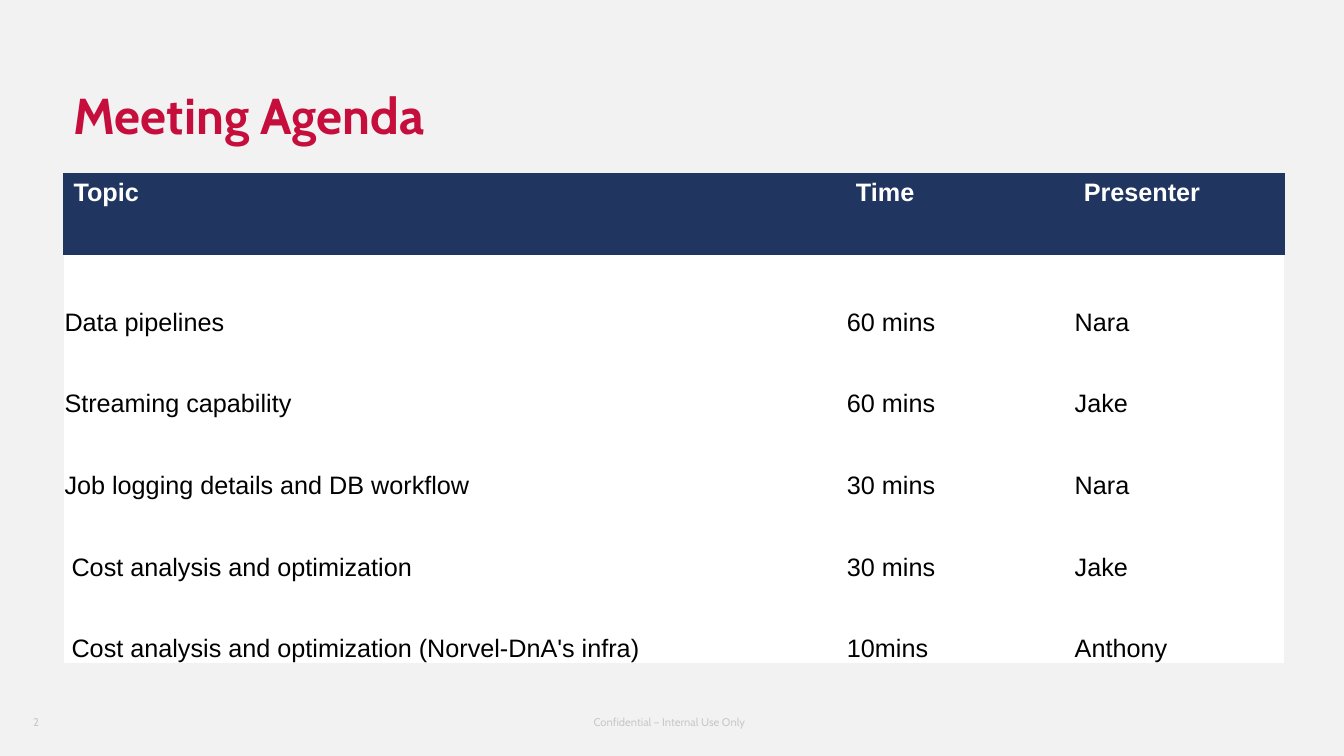
from lxml import etree
from pptx import Presentation
from pptx.dml.color import RGBColor
from pptx.enum import text as t
from pptx.oxml import ns
from pptx.util import Inches, Pt

# Content
TITLE = "Meeting Agenda"
HEAD = ("Topic", "Time", "Presenter")
AGENDA = [
    ("Data pipelines", "60 mins", "Nara"),
    ("Streaming capability", "60 mins", "Jake"),
    ("Job logging details and DB workflow", "30 mins", "Nara"),
    ("Cost analysis and optimization", "30 mins", "Jake"),
    ("Cost analysis and optimization (Norvel-DnA's infra)", "10mins", "Anthony"),
]
INDENTED = (4, 5)  # table rows whose topic is set in a little
FOOTER = [  # words, left edge, alignment
    ("Confidential –\u00a0Internal Use Only", 5.14, t.PP_ALIGN.CENTER),
    ("2", 0.23, t.PP_ALIGN.LEFT),
]

# Theme
THEME = {
    "back": "F2F2F2", "navy": "203661", "white": "FFFFFF",
    "title": dict(name="Cabin", size=36, bold=True, color="C50E3C"),
    "head": dict(name="Arial", size=18, bold=True, color="FFFFFF"),
    "body": dict(name="Arial", size=18, bold=False, color="000000"),
    "foot": dict(name="Cabin", size=8, bold=False, color="C6CAC6"),
}
PAD = dict(margin_left=0.1, margin_top=0.05, margin_right=0.1, margin_bottom=0.05)
TIGHT = dict(margin_left=0.01, margin_top=0.01, margin_right=0.01, margin_bottom=0)
NO_GRID = "{2D5ABB26-0587-4C30-8999-92F81FD0307C}"
COLS = (7.76, 2.26, 2.09)
ROW = 0.81


def style(font, look):
    for key, val in look.items():
        if key == "color":
            font.color.rgb = RGBColor.from_string(val)
        else:
            setattr(font, key, Pt(val) if key == "size" else val)


def write(frame, words, look, align=t.PP_ALIGN.LEFT):
    para = frame.paragraphs[0]
    para.alignment = align
    run = para.add_run()
    run.text = words
    style(run.font, look)
    return para


def pad(item, sides):
    for key, val in sides.items():
        setattr(item, key, Inches(val))


def edge(cell, sides, color):
    props = cell._tc.get_or_add_tcPr()
    for spot, side in enumerate(sides):
        line = etree.Element(ns.qn(f"a:ln{side}"), w=str(Pt(0.75)))
        fill = etree.SubElement(line, ns.qn("a:solidFill"))
        etree.SubElement(fill, ns.qn("a:srgbClr"), val=color)
        props.insert(spot, line)


def main():
    prs = Presentation()
    prs.slide_width, prs.slide_height = Inches(13.33), Inches(7.5)
    slide = prs.slides.add_slide(prs.slide_layouts[5])
    fill = slide.background.fill
    fill.solid()
    fill.fore_color.rgb = RGBColor.from_string(THEME["back"])

    # Title
    title = slide.shapes.title
    title.left, title.top, title.width, title.height = map(Inches, (0.63, 0.4, 12, 1.08))
    frame = title.text_frame
    frame.auto_size = t.MSO_AUTO_SIZE.NONE
    frame.vertical_anchor = t.MSO_ANCHOR.BOTTOM
    pad(frame, PAD)
    write(frame, TITLE, THEME["title"]).line_spacing = 0.8

    # Footer
    for words, left, align in FOOTER:
        box = slide.shapes.add_textbox(*map(Inches, (left, 7, 3, 0.32)))
        frame = box.text_frame
        frame.word_wrap = True
        frame.vertical_anchor = t.MSO_ANCHOR.MIDDLE
        pad(frame, PAD)
        write(frame, words, THEME["foot"], align)

    # Agenda table
    rows = [HEAD] + AGENDA
    size = (0.63, 1.72, sum(COLS), ROW * len(rows))
    table = slide.shapes.add_table(len(rows), len(COLS), *map(Inches, size)).table
    table.horz_banding = False
    table._tbl.tblPr.find(ns.qn("a:tableStyleId")).text = NO_GRID
    for col, width in zip(table.columns, COLS):
        col.width = Inches(width)
    for r, row in enumerate(rows):
        table.rows[r].height = Inches(ROW)
        for c, words in enumerate(row):
            cell = table.cell(r, c)
            top = r == 0
            pad(cell, PAD if top else TIGHT)
            if c == 0 and r in INDENTED:
                cell.margin_left = Inches(0.08)
            cell.vertical_anchor = t.MSO_ANCHOR.TOP if top else t.MSO_ANCHOR.BOTTOM
            write(cell.text_frame, words, THEME["head" if top else "body"])
            cell.fill.solid()
            cell.fill.fore_color.rgb = RGBColor.from_string(THEME["navy" if top else "white"])
            if top:
                edge(cell, ("LT", "T", "RT")[c], THEME["navy"])

    prs.save("out.pptx")


if __name__ == "__main__":
    main()
